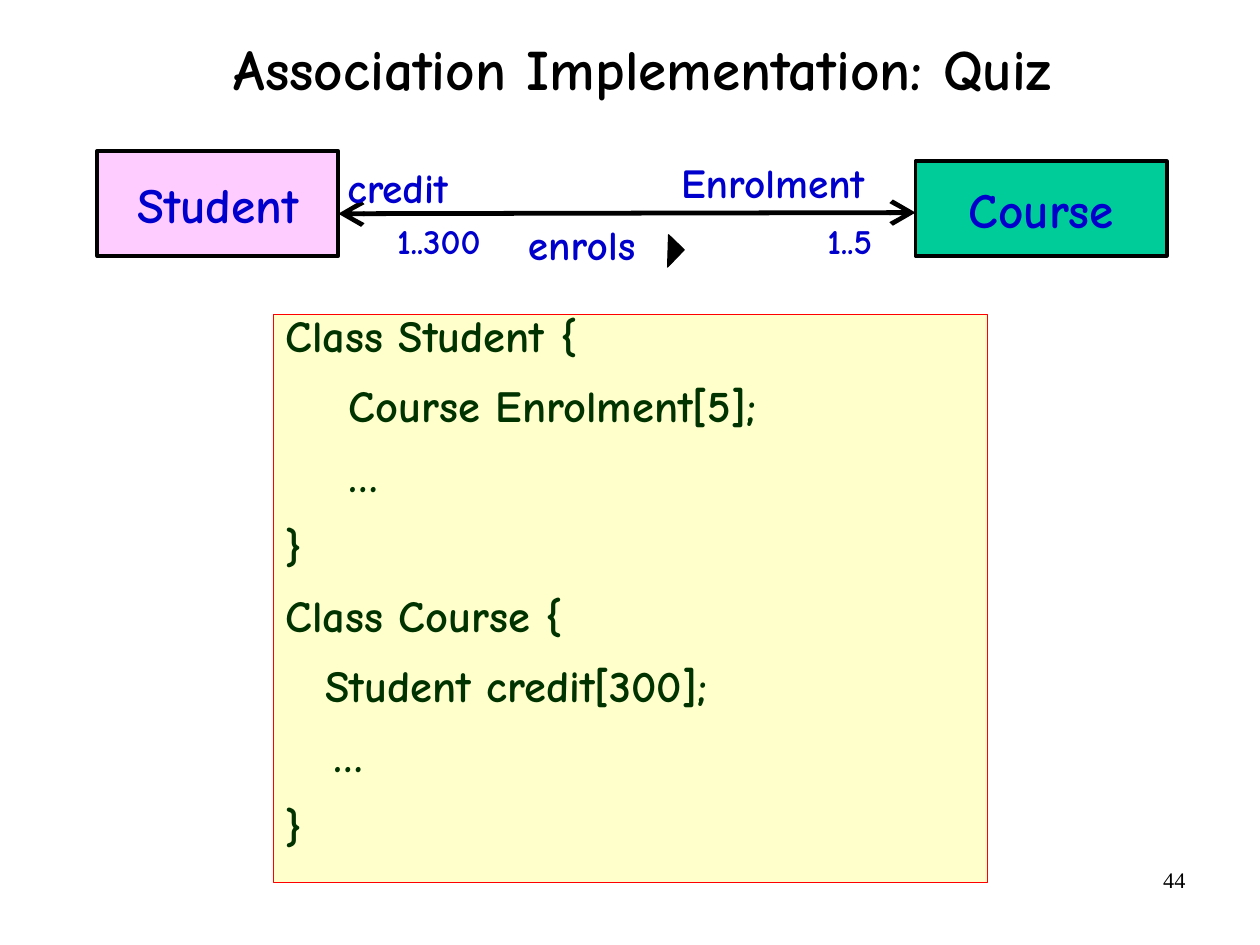
from lxml import etree
from pptx import Presentation
from pptx.dml.color import RGBColor
from pptx.enum.shapes import MSO_CONNECTOR, MSO_SHAPE
from pptx.enum.text import MSO_ANCHOR, PP_ALIGN
from pptx.oxml.ns import qn
from pptx.util import Cm, Inches, Pt

BLACK = RGBColor(0x00, 0x00, 0x00)
LABEL_BLUE = RGBColor(0x00, 0x00, 0xCC)
STUDENT_PINK = RGBColor(0xFF, 0xCC, 0xFF)
COURSE_GREEN = RGBColor(0x00, 0xCC, 0x99)
CODE_CREAM = RGBColor(0xFF, 0xFF, 0xCC)
CODE_GREEN = RGBColor(0x00, 0x33, 0x00)
CODE_BORDER = RGBColor(0xFF, 0x00, 0x00)

HEADING_FONT = "Comic Neue"
NUMBER_FONT = "Times New Roman"
LABEL_INSETS = (0.11, 0.06)
CODE_LINES = [
    "Class Student {",
    "    Course Enrolment[5];",
    "    …",
    "}",
    "Class Course {",
    "Student credit[300];",
    "   …",
    "}",
]


def write(frame, lines, size, color, insets=LABEL_INSETS, wrap=True,
          anchor=MSO_ANCHOR.TOP, font=HEADING_FONT, bold=True, **spacing):
    """Fill a text frame, one paragraph per line; spacing holds paragraph formats."""
    side, edge = map(Inches, insets)
    frame_format = {"margin_left": side, "margin_right": side, "margin_top": edge,
                    "margin_bottom": edge, "word_wrap": wrap, "vertical_anchor": anchor}
    for key, value in frame_format.items():
        setattr(frame, key, value)
    for number, line in enumerate(lines):
        paragraph = frame.add_paragraph() if number else frame.paragraphs[0]
        for key, value in spacing.items():
            setattr(paragraph, key, value)
        run = paragraph.add_run()
        run.text = line
        for key, value in {"name": font, "size": Pt(size), "bold": bold}.items():
            setattr(run.font, key, value)
        run.font.color.rgb = color


def add_label(slide, box, text, size, color=LABEL_BLUE, **text_format):
    label = slide.shapes.add_textbox(*map(Inches, box))
    write(label.text_frame, [text], size, color, **text_format)


def add_panel(slide, kind, box, fill, border, width):
    panel = slide.shapes.add_shape(kind, *map(Inches, box))
    panel.shadow.inherit = False
    panel.fill.solid()
    panel.fill.fore_color.rgb = fill
    panel.line.color.rgb = border
    panel.line.width = Pt(width)
    return panel


def add_class_box(slide, box, name, fill):
    class_box = add_panel(slide, MSO_SHAPE.RECTANGLE, box, fill, BLACK, 2.25)
    write(class_box.text_frame, [name], 31, LABEL_BLUE, wrap=False,
          anchor=MSO_ANCHOR.MIDDLE, alignment=PP_ALIGN.CENTER)


def add_association_line(slide, start, end):
    """Draw a line with large open arrowheads at both ends."""
    association = slide.shapes.add_connector(
        MSO_CONNECTOR.STRAIGHT, *map(Inches, start + end))
    association.line.color.rgb = BLACK
    association.line.width = Pt(3)
    outline = association.line._get_or_add_ln()
    for tag in ("a:headEnd", "a:tailEnd"):
        etree.SubElement(outline, qn(tag), type="arrow", w="lg", len="lg")
    etree.SubElement(association._element.spPr, qn("a:effectLst"))


def add_class_diagram(slide, left, top):
    def place(x, y, width, height):
        return left + x, top + y, width, height

    add_class_box(slide, place(0, 0, 2.11, 0.92), "Student", STUDENT_PINK)
    add_class_box(slide, place(7.16, 0.09, 2.2, 0.83), "Course", COURSE_GREEN)
    add_association_line(slide, (left + 2.11, top + 0.55), (left + 7.16, top + 0.54))

    labels = [
        ("credit", 26, PP_ALIGN.LEFT, (2.08, 0.04, 1.5, 0.55)),
        ("1..300", 22, PP_ALIGN.CENTER, (2.25, 0.54, 1.48, 0.48)),
        ("1..5", 22, PP_ALIGN.CENTER, (6.16, 0.54, 0.85, 0.48)),
        ("Enrolment", 26, PP_ALIGN.LEFT, (5, 0, 3.08, 0.55)),
        ("enrols", 26, PP_ALIGN.LEFT, (3.66, 0.54, 1.5, 0.55)),
    ]
    for text, size, alignment, box in labels:
        add_label(slide, place(*box), text, size, alignment=alignment)

    reading_direction = add_panel(slide, MSO_SHAPE.RIGHT_TRIANGLE,
                                  place(4.9, 0.77, 0.19, 0.21), BLACK, BLACK, 0.75)
    reading_direction.rotation = 223.9


def add_code_panel(slide, box):
    code = add_panel(slide, MSO_SHAPE.RECTANGLE, box, CODE_CREAM, CODE_BORDER, 0.75)
    write(code.text_frame, CODE_LINES, 28, CODE_GREEN, insets=(0, 0),
          alignment=PP_ALIGN.LEFT, line_spacing=0.9, space_after=Pt(13.8))
    for line, paragraph in zip(CODE_LINES, code.text_frame.paragraphs):
        indent = 0 if line.startswith("Student") else -0.35
        properties = paragraph._p.get_or_add_pPr()
        properties.set("marL", str(Inches(0.46)))
        properties.set("indent", str(Inches(indent)))


def main():
    deck = Presentation()
    deck.slide_width, deck.slide_height = Cm(28), Cm(21)
    slide = deck.slides.add_slide(deck.slide_layouts[6])
    add_label(slide, (7.9, 7.53, 2.57, 0.57), "44", 14, BLACK, insets=(0.1, 0.05),
              font=NUMBER_FONT, bold=False, alignment=PP_ALIGN.RIGHT)
    add_label(slide, (0.63, -0.05, 9.98, 1.37), "Association Implementation: Quiz", 36,
              BLACK, insets=(0, 0), anchor=MSO_ANCHOR.MIDDLE,
              alignment=PP_ALIGN.CENTER, line_spacing=0.88)
    add_class_diagram(slide, 0.85, 1.32)
    add_code_panel(slide, (2.39, 2.75, 6.25, 4.97))
    deck.save("out.pptx")


if __name__ == "__main__":
    main()
